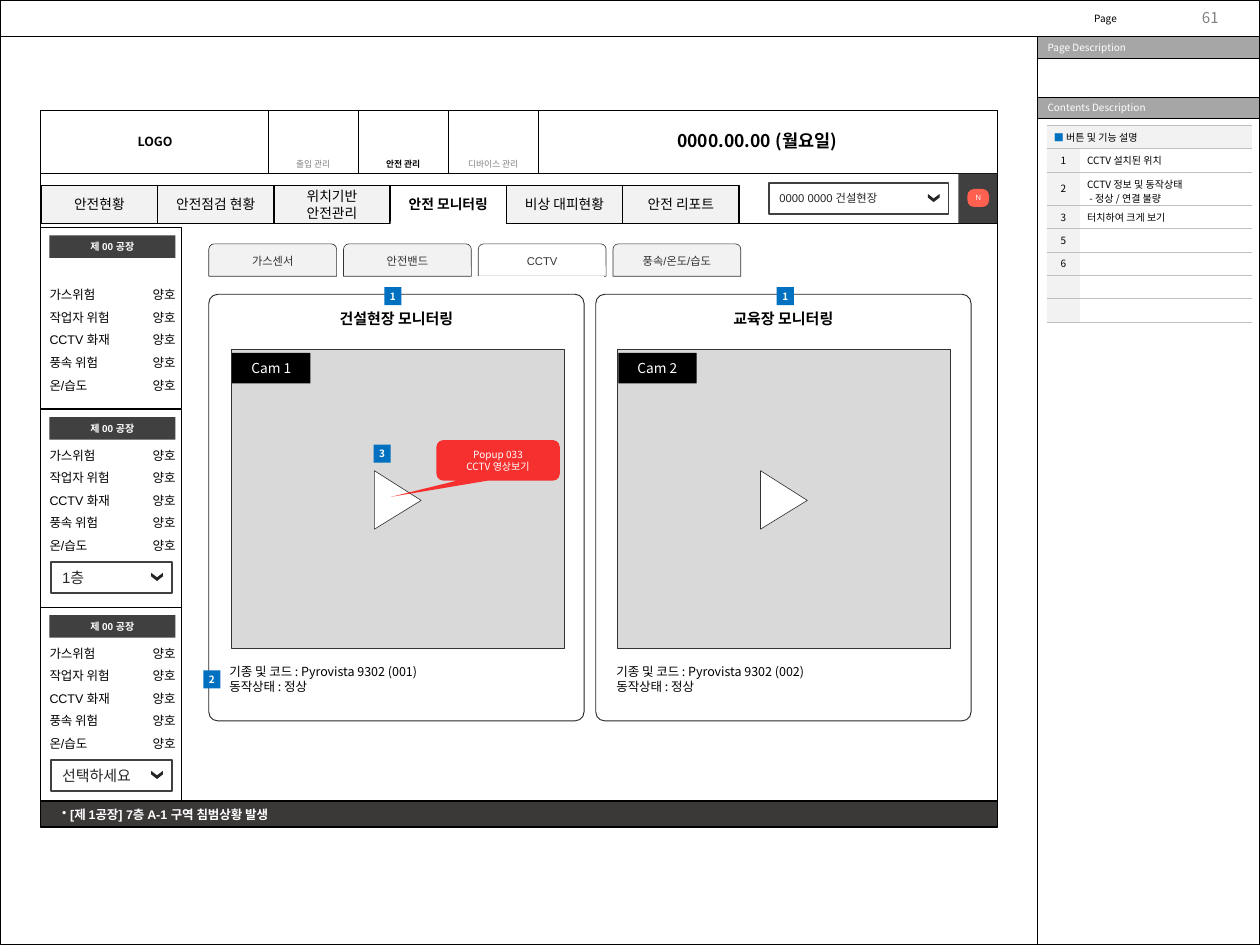
from dataclasses import dataclass
from typing import NamedTuple, Optional

from lxml.etree import SubElement
from pptx import Presentation
from pptx.dml.color import RGBColor
from pptx.enum.shapes import MSO_CONNECTOR, MSO_SHAPE as Shape
from pptx.enum.text import MSO_ANCHOR as Anchor, PP_ALIGN as Align
from pptx.oxml import parse_xml
from pptx.oxml.ns import nsdecls, qn
from pptx.util import Inches, Pt


@dataclass(frozen=True)
class Theme:
    sans: str = "Arial"
    cjk: str = "Noto Sans CJK KR"
    white: str = "FFFFFF"
    black: str = "000000"
    ink: str = "262626"
    edge: str = "333333"
    dark: str = "404040"
    footer: str = "3B3838"
    gray: str = "808080"
    band: str = "A6A6A6"
    rule: str = "BFBFBF"
    screen: str = "D9D9D9"
    pale: str = "F2F2F2"
    blue: str = "0070C0"
    coral: str = "FF604F"
    red: str = "FF0000"
    micro: float = 6
    tiny: float = 7
    small: float = 8
    label: float = 9
    body: float = 10
    nav: float = 11
    title: float = 12
    date: float = 14


T = Theme()


class Font(NamedTuple):
    size: float
    color: str = T.black
    name: str = T.sans
    bold: bool = False


class Panel(NamedTuple):
    top: float
    height: float
    list_top: float
    choice: Optional[str]


class Camera(NamedTuple):
    card_x: float
    screen_x: float
    title: str
    number: int


PANELS = [Panel(2.53, 2.01, 3.11, None), Panel(4.55, 2.2, 4.89, "1층"),
          Panel(6.75, 2.15, 7.09, "선택하세요")]
CAMERAS = [Camera(2.32, 2.57, "건설현장 모니터링", 1), Camera(6.62, 6.86, "교육장 모니터링", 2)]
SENSORS = ["가스위험", "작업자 위험", "CCTV 화재", "풍속 위험", "온/습도"]
MENUS = ["출입 관리", "안전 관리", "디바이스 관리"]
NAV = ["안전현황", "안전점검 현황", "위치기반\n안전관리", "안전 모니터링", "비상 대피현황", "안전 리포트"]
TABS = ["가스센서", "안전밴드", "CCTV", "풍속/온도/습도"]
BADGES = [(4.27, 3.19, "1"), (8.63, 3.19, "1"), (2.26, 7.45, "2"), (4.15, 4.94, "3")]
NOTES = [("1", "CCTV 설치된 위치"), ("2", "CCTV 정보 및 동작상태\n - 정상 / 연결 불량"),
         ("3", "터치하여 크게 보기"), ("5", ""), ("6", ""), ("", ""), ("", "")]

prs = Presentation()
prs.slide_width, prs.slide_height = Inches(14), Inches(10.5)
s = prs.slides.add_slide(prs.slide_layouts[6])


def add_run(p, text: str, font: Font) -> None:
    r = p.add_run()
    r.text = text
    r.font.size, r.font.bold, r.font.name = Pt(font.size), font.bold, font.name
    r.font.color.rgb = RGBColor.from_string(font.color)
    SubElement(r.font._element, qn("a:ea")).set("typeface", T.cjk)


def write(tf, text: str, font: Font, align=Align.LEFT, spacing=None) -> None:
    for i, line in enumerate(text.split("\n")):
        p = tf.add_paragraph() if i else tf.paragraphs[0]
        p.alignment, p.line_spacing = align, spacing
        add_run(p, line, font)


def frame(tf, anchor, ins, wrap=True) -> None:
    tf.word_wrap, tf.vertical_anchor = wrap, anchor
    tf.margin_left = tf.margin_right = Inches(ins[0])
    tf.margin_top = tf.margin_bottom = Inches(ins[1])


def paint(sp, fill: Optional[str], line: Optional[str], width: float) -> None:
    sp.shadow.inherit = False
    if fill:
        sp.fill.solid()
        sp.fill.fore_color.rgb = RGBColor.from_string(fill)
    else:
        sp.fill.background()
    if line:
        sp.line.color.rgb = RGBColor.from_string(line)
        sp.line.width = Pt(width)
    else:
        sp.line.fill.background()


def box(x: float, y: float, w: float, h: float, fill=T.white, line=None, width=1.0, text="",
        font=Font(T.small), align=Align.CENTER, anchor=Anchor.MIDDLE, ins=(0.1, 0.05),
        kind=Shape.RECTANGLE, adj=()):
    sp = s.shapes.add_shape(kind, Inches(x), Inches(y), Inches(w), Inches(h))
    paint(sp, fill, line, width)
    for i, value in enumerate(adj):
        sp.adjustments[i] = value
    if text:
        frame(sp.text_frame, anchor, ins)
        write(sp.text_frame, text, font, align)
    return sp


def label(x: float, y: float, w: float, h: float, text: str, font: Font, align=Align.LEFT,
          anchor=Anchor.TOP, ins=(0.1, 0.05), wrap=True, spacing=None) -> None:
    sp = s.shapes.add_textbox(Inches(x), Inches(y), Inches(w), Inches(h))
    frame(sp.text_frame, anchor, ins, wrap)
    write(sp.text_frame, text, font, align, spacing)


def outline(x: float, y: float, points, fill: str, line=None) -> None:
    pts = [(Inches(x + dx), Inches(y + dy)) for dx, dy in points]
    fb = s.shapes.build_freeform(*pts[0])
    fb.add_line_segments(pts[1:], close=True)
    paint(fb.convert_to_shape(), fill, line, 0.5)


def dropdown(x: float, y: float, w: float, text: str, size: float) -> None:
    box(x, y, w, 0.35, line=T.dark, width=1.5, text=text, font=Font(size, T.ink),
        align=Align.LEFT, ins=(0.12, 0.05))
    chevron = [(0, 0), (0.065, 0.05), (0.13, 0), (0.13, 0.04), (0.065, 0.09), (0, 0.04)]
    outline(x + w - 0.23, y + 0.125, chevron, T.ink)


def status_panel(panel: Panel) -> None:
    box(0.45, panel.top, 1.57, panel.height, line=T.black)
    box(0.55, panel.top + 0.085, 1.4, 0.25, T.dark, text="제 00 공장",
        font=Font(T.small, T.white, bold=True), ins=(0, 0.05))
    label(0.55, panel.list_top, 0.89, 1.26, "\n".join(SENSORS), Font(T.body),
          ins=(0, 0), spacing=1.5)
    label(1.44, panel.list_top, 0.51, 1.26, "\n".join(["양호"] * len(SENSORS)), Font(T.body),
          Align.RIGHT, ins=(0, 0), spacing=1.5)
    if panel.choice:
        dropdown(0.57, panel.list_top + 1.35, 1.34, panel.choice, T.title)


def camera_card(cam: Camera) -> None:
    x, sx = cam.card_x, cam.screen_x
    box(x, 3.27, 4.17, 4.74, line=T.ink, width=0.75, kind=Shape.ROUNDED_RECTANGLE, adj=[0.024])
    label(x + 1.085, 3.39, 2, 0.3, cam.title, Font(T.title, name=T.cjk, bold=True),
          Align.CENTER, Anchor.MIDDLE)
    label(x + 0.13, 7.33, 2.6, 0.44, f"기종 및 코드 : Pyrovista 9302 (00{cam.number})\n동작상태 : 정상",
          Font(T.body, name=T.cjk), wrap=False)
    box(sx, 3.88, 3.7, 3.32, T.screen, T.edge, 0.5)
    outline(sx + 1.59, 5.23, [(0, 0.65), (0, 0), (0.52, 0.33)], T.white, T.edge)
    box(sx + 0.01, 3.92, 0.87, 0.34, T.black, text=f"Cam {cam.number}",
        font=Font(T.nav, T.white, T.cjk))


def style_cell(cell, text: str, fill: Optional[str], align=Align.LEFT, anchor=Anchor.MIDDLE) -> None:
    cell.margin_left = cell.margin_right = Inches(0.08)
    cell.vertical_anchor = anchor
    if fill:
        cell.fill.solid()
        cell.fill.fore_color.rgb = RGBColor.from_string(fill)
    else:
        cell.fill.background()
    tcPr = cell._tc.get_or_add_tcPr()
    for i, side in enumerate("LRTB"):
        ink = (f'<a:solidFill><a:srgbClr val="{T.rule}"/></a:solidFill>' if side in "TB"
               else "<a:noFill/>")
        tcPr.insert(i, parse_xml(f'<a:ln{side} w="3175" {nsdecls("a")}>{ink}</a:ln{side}>'))
    if text:
        write(cell.text_frame, text, Font(T.small, name=T.cjk), align)
    else:
        end = SubElement(cell.text_frame.paragraphs[0]._p, qn("a:endParaRPr"))
        end.set("sz", str(int(T.small * 100)))


def notes_table() -> None:
    rows = len(NOTES) + 1
    tbl = s.shapes.add_table(rows, 2, Inches(11.63), Inches(1.39), Inches(2.28),
                             Inches(0.26 * rows)).table
    tbl.first_row = tbl.horz_banding = False
    for col, width in zip(tbl.columns, (0.37, 1.91)):
        col.width = Inches(width)
    for row in tbl.rows:
        row.height = Inches(0.26)
    for c in range(2):
        style_cell(tbl.cell(0, c), "", T.pale)
    tbl.cell(0, 0).merge(tbl.cell(0, 1))
    p = tbl.cell(0, 0).text_frame.paragraphs[0]
    add_run(p, "■ ", Font(T.small, T.blue, T.cjk))
    add_run(p, "버튼 및 기능 설명", Font(T.small, name=T.cjk))
    for i, (number, note) in enumerate(NOTES, 1):
        style_cell(tbl.cell(i, 0), number, T.pale, Align.CENTER)
        style_cell(tbl.cell(i, 1), note, None, anchor=Anchor.TOP if number == "3" else Anchor.MIDDLE)


# Page frame and description column
box(11.53, 0, 2.47, 10.5, line=T.black, width=0.75)
box(0, 0, 14, 10.5, None, T.black, 0.75)
for y, heading in ((0.41, "Page Description"), (1.08, "Contents Description")):
    box(11.53, y, 2.47, 0.24, T.band, T.black, 0.75, heading, Font(T.small, T.white, T.cjk),
        Align.LEFT, ins=(0.11, 0.05))
box(0, 0, 14, 0.41, line=T.black, width=0.75)
label(12.97, 0.03, 0.69, 0.26, "61", Font(T.title, T.gray, T.cjk), Align.RIGHT, ins=(0.12, 0.06))
label(12.06, 0.09, 1.31, 0.24, "Page", Font(T.small, name=T.cjk))

# Screen header
box(0.45, 1.23, 10.63, 7.95, line=T.black)
box(0.45, 1.23, 10.63, 0.7, line=T.black)
for i, menu in enumerate(MENUS):
    active = menu == "안전 관리"
    box(2.98 + i, 1.23, 1, 0.7, line=T.black, text=menu, anchor=Anchor.BOTTOM,
        font=Font(T.tiny, T.black if active else T.gray, bold=active))
box(0.45, 1.93, 10.63, 0.55, line=T.black)
label(7.39, 1.39, 2.01, 0.34, "0000.00.00 (월요일)", Font(T.date, name=T.cjk, bold=True), Align.RIGHT)
label(1.43, 1.44, 0.59, 0.27, "LOGO", Font(T.body, name=T.cjk, bold=True),
      anchor=Anchor.MIDDLE, wrap=False)
box(10.65, 1.93, 0.43, 0.55, T.dark)
box(10.75, 2.1, 0.24, 0.2, T.coral, text="N", font=Font(T.micro, T.white), ins=(0, 0),
    kind=Shape.ROUNDED_RECTANGLE, adj=[0.371])
dropdown(8.54, 2.03, 2, "0000 0000 건설현장", T.label)

# Main navigation
for i, item in enumerate(NAV):
    active = item == "안전 모니터링"
    box(0.46 + 1.292 * i, 2.06, 1.29, 0.42, T.white if active else T.pale, T.black,
        text=item, font=Font(T.nav, bold=active))
box(4.34, 2.46, 1.28, 0.11)

# Alert bar
alert = box(0.45, 8.9, 10.63, 0.29, T.footer, T.black, text="[제 1공장] 7층 A-1 구역 침범상황 발생",
            font=Font(T.body, T.white, bold=True), align=Align.LEFT, ins=(0.24, 0.05))
pPr = alert.text_frame.paragraphs[0]._p.get_or_add_pPr()
pPr.set("marL", str(Inches(0.09)))
pPr.set("indent", str(Inches(-0.09)))
SubElement(pPr, qn("a:buChar")).set("char", "•")

# Factory status and cameras
for panel in PANELS:
    status_panel(panel)
for cam in CAMERAS:
    camera_card(cam)
notes_table()

# Sensor tabs
for i, tab in enumerate(TABS):
    box(2.32 + 1.497 * i, 2.71, 1.42, 0.36, T.white if tab == "CCTV" else T.pale, T.edge, 0.5, tab,
        Font(T.label, T.edge), ins=(0.04, 0.04), kind=Shape.ROUND_2_SAME_RECTANGLE)
seam = s.shapes.add_connector(MSO_CONNECTOR.STRAIGHT, Inches(5.31), Inches(3.07),
                              Inches(6.71), Inches(3.07))
seam.line.color.rgb, seam.line.width = RGBColor.from_string(T.white), Pt(0.5)
SubElement(seam._element.spPr, qn("a:effectLst"))

# Numbered badges and popup callout
for x, y, number in BADGES:
    box(x, y, 0.19, 0.2, T.blue, text=number, font=Font(T.small, T.white, T.cjk, True), ins=(0, 0))
popup = box(4.85, 4.89, 1.37, 0.45, T.red, text="Popup 033\nCCTV 영상보기",
            font=Font(T.small, T.white, T.cjk), ins=(0, 0),
            kind=Shape.ROUNDED_RECTANGULAR_CALLOUT, adj=[-0.867, 0.9, 0.167])
tint = popup._element.spPr.find(qn("a:solidFill")).find(qn("a:srgbClr"))
SubElement(tint, qn("a:alpha")).set("val", "78000")

prs.save("out.pptx")
